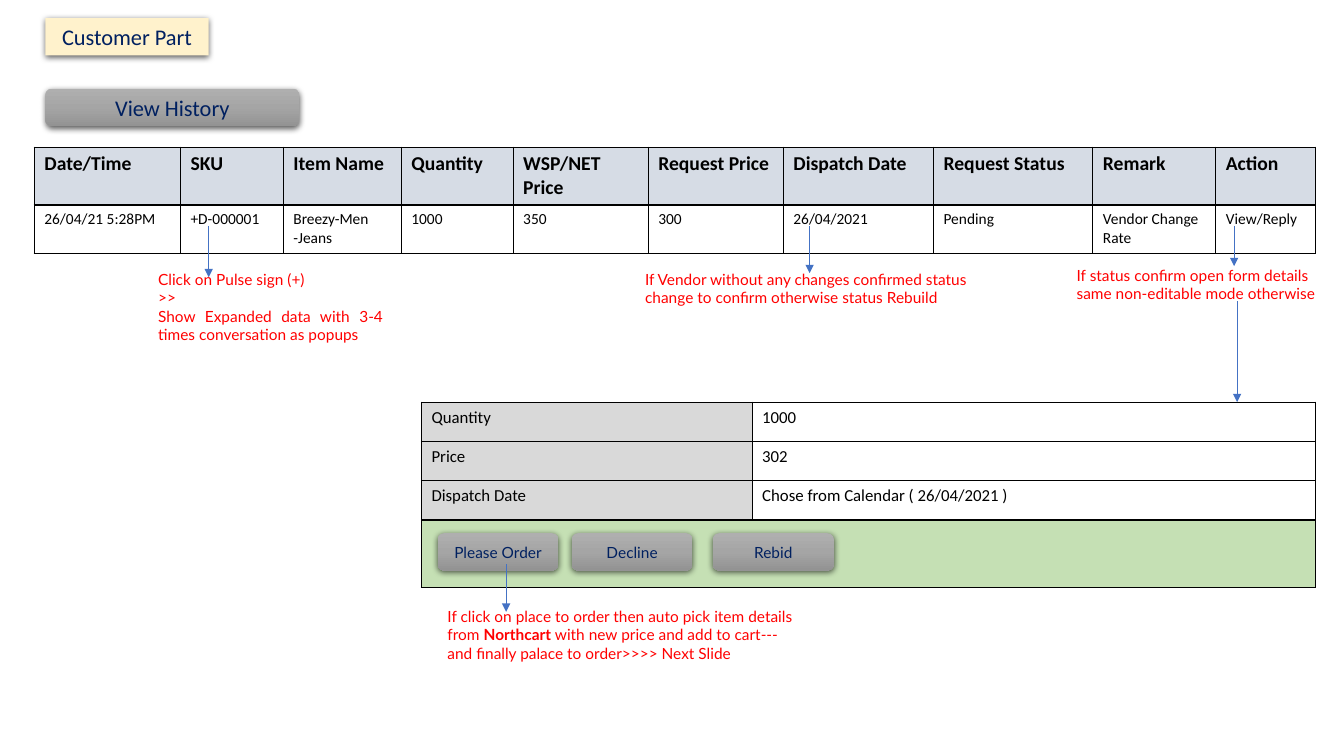
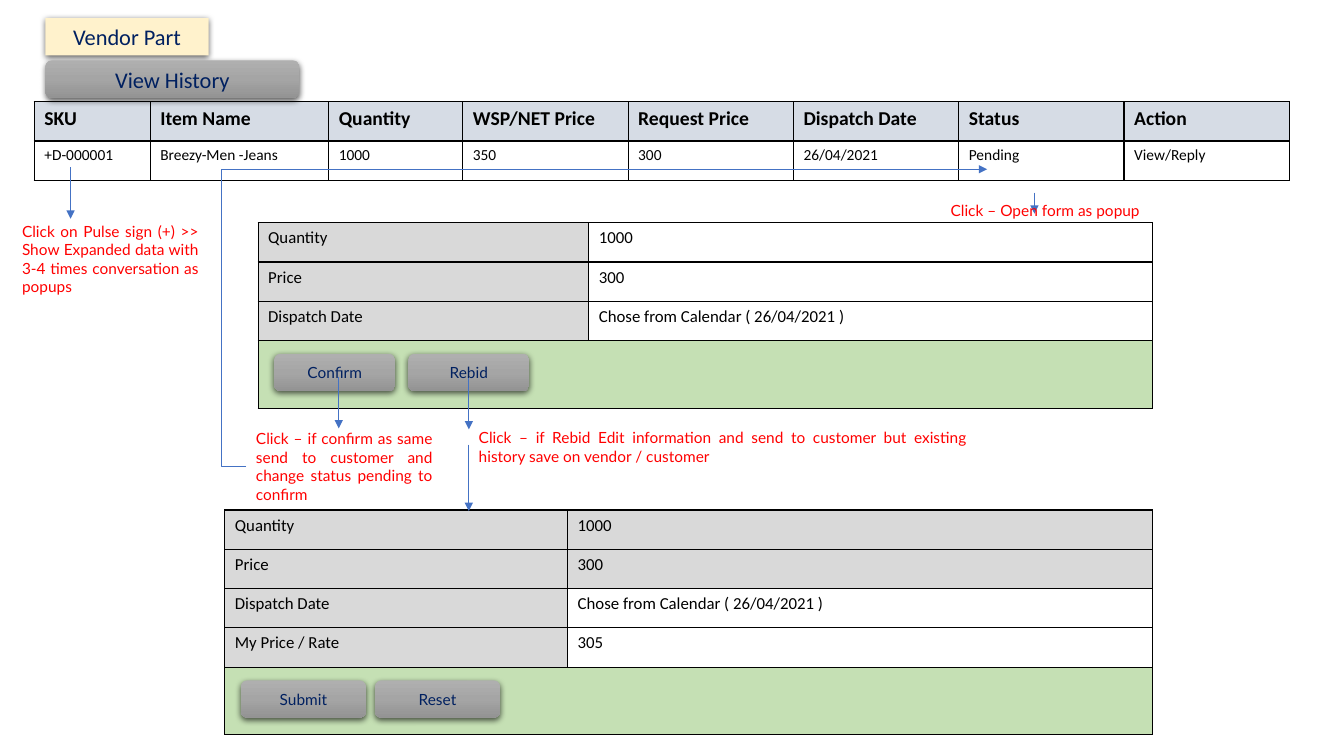
"""Build the customer and vendor slides of an order history flow."""
from copy import deepcopy

from lxml import etree
from pptx import Presentation
from pptx.dml.color import RGBColor as RGB
from pptx.enum.shapes import MSO_CONNECTOR as LINK, MSO_SHAPE as PRESET
from pptx.enum.text import MSO_ANCHOR as ANCHOR, MSO_AUTO_SIZE as FIT, PP_ALIGN as ALIGN
from pptx.oxml import parse_xml
from pptx.oxml.ns import nsdecls, qn
from pptx.util import Inches, Pt

COLOR = {name: RGB.from_string(value) for name, value in {
    "ink": "000000", "navy": "002060", "note": "FF0000", "arrow": "4472C4",
    "paper": "FFFFFF", "head": "D6DCE5", "label": "D9D9D9", "actions": "C5E0B4",
    "badge": "FFF2CC", "light": "AFAFAF", "mid": "A5A5A5", "dark": "939393"}.items()}
TYPE = {
    "badge": ({"name": "Calibri", "size": Pt(16), "bold": False}, "navy"),
    "head": ({"name": "Calibri", "size": Pt(14), "bold": True}, "ink"),
    "record": ({"name": "Calibri", "size": Pt(11), "bold": False}, "ink"),
    "form": ({"name": "Calibri", "size": Pt(12), "bold": False}, "ink"),
    "button": ({"name": "Lato", "size": Pt(11), "bold": False}, "navy"),
    "note": ({"name": "Lato", "size": Pt(11), "bold": False}, "note"),
}
ROW, ACTION_ROW, BUTTON_HEIGHT = 0.39, 0.67, 0.37
MARGIN, BADGE_LEFT = 0.34, 0.45
BORDER = ('<a:{side} {ns} w="12700"><a:solidFill><a:srgbClr val="{ink}"/></a:solidFill></a:{side}>')
SHADOW = (f'<a:outerShdw {nsdecls("a")} blurRad="57150" dist="19050" dir="5400000" algn="ctr" '
          f'rotWithShape="0"><a:srgbClr val="{COLOR["ink"]}"><a:alpha val="63000"/></a:srgbClr></a:outerShdw>')
CALENDAR = "Chose from Calendar ( 26/04/2021 )"

PAGES = [
    {
        "title": "Customer Part", "history_top": 0.88, "table_top": 1.46,
        "columns": [1.45, 1.02, 1.17, 1.11, 1.34, 1.34, 1.49, 1.58, 1.22, 0.99],
        "history": [
            ["Date/Time", "SKU", "Item Name", "Quantity", "WSP/NET Price", "Request Price",
             "Dispatch Date", "Request Status", "Remark", "Action"],
            ["26/04/21 5:28PM", "+D-000001", "Breezy-Men -Jeans", "1000", "350", "300",
             "26/04/2021", "Pending", "Vendor Change Rate", "View/Reply"]],
        "forms": [{
            "at": (4.18, 3.99), "columns": [3.28, 5.59], "locked": 0, "button_width": 1.2,
            "rows": [["Quantity", "1000"], ["Price", "302"], ["Dispatch Date", CALENDAR]],
            "buttons": [("Please Order", 0.16), ("Decline", 1.49), ("Rebid", 2.89)]}],
        "notes": [
            ((6.3, 2.63, 3.67, 0.47), ALIGN.LEFT,
             "If Vendor without any changes confirmed status change to confirm otherwise status Rebuild"),
            ((10.58, 2.59, 2.63, 0.47), ALIGN.LEFT,
             "If status confirm open form details same non-editable mode otherwise"),
            ((4.34, 5.97, 3.67, 0.66), ALIGN.LEFT,
             "If click on place to order then auto pick item details from **Northcart** with new price "
             "and add to cart--- and finally palace to order>>>> Next Slide"),
            ((1.47, 2.63, 2.43, 0.84), ALIGN.JUSTIFY,
             "Click on Pulse sign (+)\n>>\nShow Expanded data with 3-4 times conversation as popups")],
        "arrows": [(8.03, 2.24, 2.71), (12.24, 2.24, 2.64), (12.27, 2.99, 3.99),
                   (5.02, 5.6, 6.07), (2.07, 2.24, 2.75)],
        "returns": [],
    },
    {
        "title": "Vendor Part", "history_top": 0.6, "table_top": 1.01,
        "columns": [1.15, 1.77, 1.33] + [1.64] * 5,
        "history": [
            ["SKU", "Item Name", "Quantity", "WSP/NET Price", "Request Price", "Dispatch Date",
             "Status", "Action"],
            ["+D-000001", "Breezy-Men -Jeans", "1000", "350", "300", "26/04/2021", "Pending",
             "View/Reply"]],
        "forms": [
            {"at": (2.56, 2.21), "columns": [3.28, 5.59], "locked": 0, "button_width": 1.2,
             "rows": [["Quantity", "1000"], ["Price", "300"], ["Dispatch Date", CALENDAR]],
             "buttons": [("Confirm", 0.16), ("Rebid", 1.49)]},
            {"at": (2.23, 5.06), "columns": [3.4, 5.8], "locked": 2, "button_width": 1.24,
             "rows": [["Quantity", "1000"], ["Price", "300"], ["Dispatch Date", CALENDAR],
                      ["My Price / Rate", "305"]],
             "buttons": [("Submit", 0.16), ("Reset", 1.49)]}],
        "notes": [
            ((9.33, 1.95, 2.2, 0.29), ALIGN.LEFT, "Click – Open form as popup"),
            ((2.44, 4.21, 1.95, 0.84), ALIGN.JUSTIFY,
             "Click – if confirm as same send to customer and change status pending to confirm"),
            ((4.65, 4.2, 5.04, 0.47), ALIGN.JUSTIFY,
             "Click – if Rebid Edit information and send to customer but existing history save on "
             "vendor / customer"),
            ((0.12, 2.15, 1.95, 0.84), ALIGN.JUSTIFY,
             "Click on Pulse sign (+) >> Show Expanded data with 3-4 times conversation as popups")],
        "arrows": [(10.26, 1.91, 2.12), (3.36, 3.74, 4.25), (4.65, 3.75, 4.26),
                   (4.65, 4.41, 5.07), (0.7, 1.66, 2.17)],
        "returns": [(2.44, 4.63, 9.79, 1.68)],
    },
]


def write(frame, text, style, align=ALIGN.LEFT):
    """Write lines as paragraphs, with **marked** words in bold."""
    formats, color = TYPE[style]
    for number, line in enumerate(text.split("\n")):
        paragraph = frame.add_paragraph() if number else frame.paragraphs[0]
        paragraph.alignment = align
        for part, words in enumerate(line.split("**")):
            run = paragraph.add_run()
            run.text = words
            for key, value in formats.items():
                setattr(run.font, key, value)
            run.font.bold = formats["bold"] or part % 2 == 1
            run.font.color.rgb = COLOR[color]


def add_grid(slide, at, columns, heights, rows):
    """Add a bordered table whose cells are (text, style, fill)."""
    frame = slide.shapes.add_table(len(rows), len(columns), *map(Inches, (*at, sum(columns), sum(heights))))
    grid = frame.table
    grid.first_row = grid.horz_banding = False
    for column, width in zip(grid.columns, columns):
        column.width = Inches(width)
    for row, height, content in zip(grid.rows, heights, rows):
        row.height = Inches(height)
        for cell, (text, style, fill) in zip(row.cells, content):
            borders = cell._tc.get_or_add_tcPr()
            for side in ("lnL", "lnR", "lnT", "lnB"):
                borders.append(parse_xml(BORDER.format(side=side, ns=nsdecls("a"), ink=COLOR["ink"])))
            cell.fill.solid()
            cell.fill.fore_color.rgb = COLOR[fill]
            if text:
                write(cell.text_frame, text, style)
    return grid


deck = Presentation()
deck.slide_width, deck.slide_height = Inches(13.33), Inches(7.5)

for page in PAGES:
    slide = deck.slides.add_slide(deck.slide_layouts[5])
    history = [[(text, style, fill) for text in texts] for texts, style, fill in
               zip(page["history"], ("head", "record"), ("head", "paper"))]
    add_grid(slide, (MARGIN, page["table_top"]), page["columns"], [ROW] * 2, history)

    buttons = [("View History", "badge", BADGE_LEFT, page["history_top"], 2.52)]
    for form in page["forms"]:
        left, top = form["at"]
        fields = [[(label, "form", "label"), (value, "form", "label" if index < form["locked"] else "paper")]
                  for index, (label, value) in enumerate(form["rows"])]
        heights = [ROW] * len(fields) + [ACTION_ROW]
        grid = add_grid(slide, form["at"], form["columns"], heights, fields + [[("", "form", "actions")] * 2])
        grid.cell(len(fields), 0).merge(grid.cell(len(fields), 1))
        button_top = top + ROW * len(fields) + 0.13
        buttons += [(label, "button", left + offset, button_top, form["button_width"])
                    for label, offset in form["buttons"]]

    badge = slide.shapes.title
    badge.left, badge.top, badge.width, badge.height = map(Inches, (BADGE_LEFT, 0.18, 1.62, BUTTON_HEIGHT))
    badge.element.spPr.append(parse_xml(f'<a:prstGeom {nsdecls("a")} prst="roundRect"><a:avLst/></a:prstGeom>'))
    badge.fill.solid()
    badge.fill.fore_color.rgb = COLOR["badge"]
    panels = [(badge, page["title"], "badge")]
    for label, style, left, top, width in buttons:
        button = slide.shapes.add_shape(PRESET.ROUNDED_RECTANGLE, *map(Inches, (left, top, width, BUTTON_HEIGHT)))
        button.fill.gradient()
        button.fill.gradient_angle = 270
        stops = button.element.spPr.find(".//" + qn("a:gsLst"))
        stops.append(deepcopy(stops[0]))
        for stop, position, color in zip(button.fill.gradient_stops, (0, 0.5, 1), ("light", "mid", "dark")):
            stop.position = position
            stop.color.rgb = COLOR[color]
        panels.append((button, label, style))
    for panel, label, style in panels:
        panel.line.fill.background()
        panel.shadow.inherit = False
        panel.element.spPr.find(qn("a:effectLst")).append(parse_xml(SHADOW))
        for key, value in {"word_wrap": True, "auto_size": FIT.NONE, "vertical_anchor": ANCHOR.MIDDLE}.items():
            setattr(panel.text_frame, key, value)
        write(panel.text_frame, label, style, ALIGN.CENTER)

    links = [(LINK.STRAIGHT, (x, start, x, end)) for x, start, end in page["arrows"]]
    links += [(LINK.ELBOW, ends) for ends in page["returns"]]
    for kind, ends in links:
        arrow = slide.shapes.add_connector(kind, *map(Inches, ends))
        arrow.line.color.rgb = COLOR["arrow"]
        arrow.line.width = Pt(0.5)
        outline = arrow.element.spPr
        etree.SubElement(outline.find(qn("a:ln")), qn("a:tailEnd"), type="triangle")
        etree.SubElement(outline, qn("a:effectLst"))
        if kind == LINK.ELBOW:
            etree.SubElement(outline.find(".//" + qn("a:avLst")), qn("a:gd"), name="adj1", fmla="val -3400")

    for box, align, text in page["notes"]:
        note = slide.shapes.add_textbox(*map(Inches, box)).text_frame
        note.word_wrap = True
        write(note, text, "note", align)

deck.save("out.pptx")
